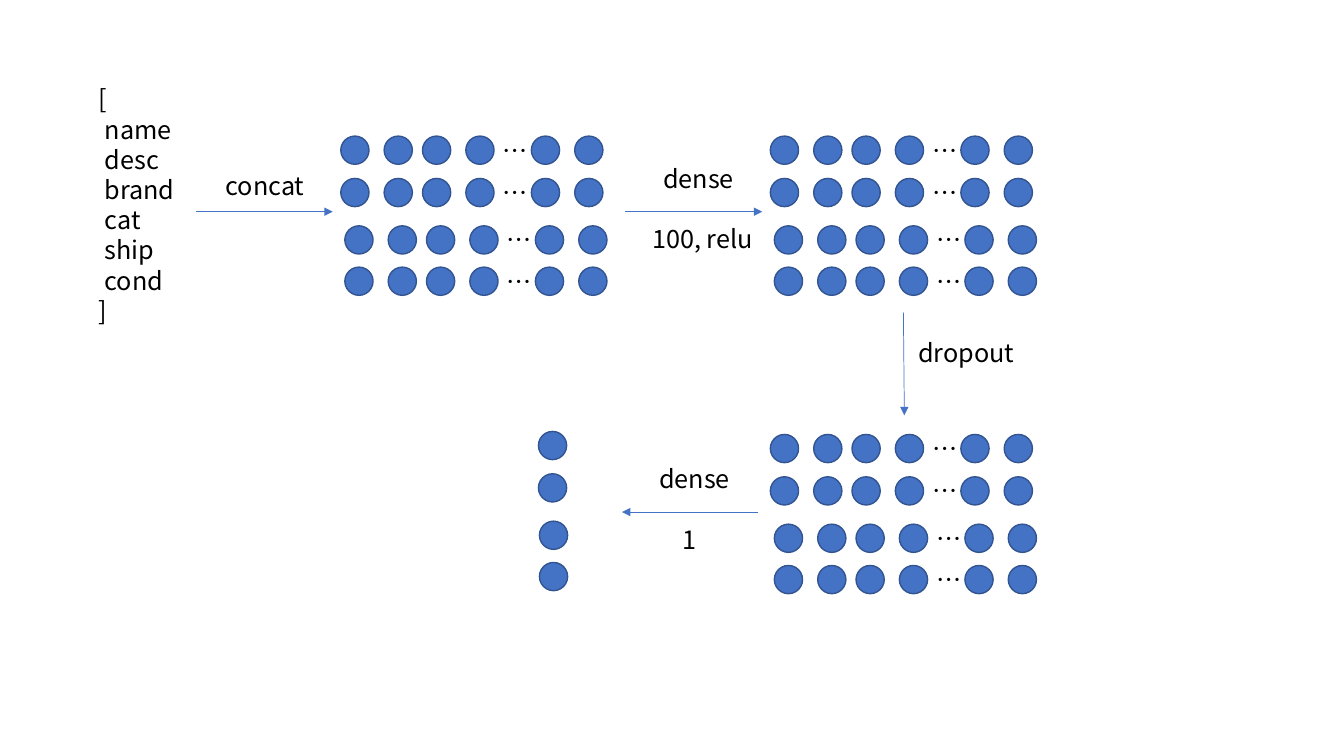
from dataclasses import dataclass

from lxml.etree import SubElement
from pptx import Presentation
from pptx.dml.color import RGBColor
from pptx.enum.shapes import MSO_CONNECTOR, MSO_SHAPE
from pptx.oxml.ns import qn
from pptx.slide import Slide
from pptx.util import Emu, Pt

PX = 9144  # 100 px to the inch
FONT = "Noto Sans CJK SC"
TEXT_SIZE = Pt(18)
LINE_HEIGHT = Pt(21.6)
COLOURS = {"text": "000000", "node": "4472C4", "outline": "325491"}

NODE_SIZE = 28
ROW_OFFSETS = (0, 42, 89, 130)
LAYER_COLUMNS = (0, 43, 81, 124, 189, 232)
DOTS_OFFSET = (151, -6)


@dataclass(frozen=True)
class TextLine:
    text: str
    indent: int = 0
    gap: bool = False  # leave one line free above


@dataclass(frozen=True)
class Label:
    left: int
    top: int
    width: int
    height: int
    lines: tuple[TextLine, ...]
    wrap: bool = True


@dataclass(frozen=True)
class Arrow:
    start: tuple[int, int]
    end: tuple[int, int]


@dataclass(frozen=True)
class Layer:
    left: int
    top: int
    columns: tuple[int, ...]
    lower_shift: int  # sideways shift of the two lower rows
    dots: bool = True


FEATURES = ("name", "desc", "brand", "cat", "ship", "cond")
LABELS = (
    Label(88, 78, 98, 252, (
        TextLine("["), *(TextLine(name, indent=6) for name in FEATURES), TextLine("]"))),
    Label(214, 164, 144, 40, (TextLine("concat"),)),
    Label(637, 157, 144, 101, (TextLine("dense", indent=11), TextLine("100, relu", gap=True))),
    Label(901, 330, 144, 40, (TextLine("dropout"),)),
    Label(633, 455, 144, 101, (TextLine("dense", indent=11), TextLine("1", indent=34, gap=True))),
)
ARROWS = (
    Arrow((194, 210), (330, 210)),
    Arrow((620, 210), (756, 210)),
    Arrow((896, 310), (897, 412)),
    Arrow((752, 508), (617, 508)),
)
LAYERS = (
    Layer(338, 135, LAYER_COLUMNS, 4),
    Layer(764, 135, LAYER_COLUMNS, 4),
    Layer(764, 431, LAYER_COLUMNS, 4),
    Layer(534, 428, (0,), 1, dots=False),
)


def px(length: int) -> Emu:
    return Emu(length * PX)


def colour(name: str) -> RGBColor:
    return RGBColor.from_string(COLOURS[name])


def draw_label(page: Slide, label: Label) -> None:
    box = page.shapes.add_textbox(
        px(label.left), px(label.top), px(label.width), px(label.height))
    frame = box.text_frame
    frame.word_wrap = label.wrap
    for index, line in enumerate(label.lines):
        para = frame.add_paragraph() if index else frame.paragraphs[0]
        para.text = line.text
        para.line_spacing = LINE_HEIGHT
        if line.gap:
            para.space_before = LINE_HEIGHT
        para.font.name = FONT
        para.font.size = TEXT_SIZE
        para.font.color.rgb = colour("text")
        if line.indent:
            properties = para._p.get_or_add_pPr()
            properties.set("marL", str(px(line.indent)))
            properties.set("indent", "0")


def draw_arrow(page: Slide, arrow: Arrow) -> None:
    connector = page.shapes.add_connector(
        MSO_CONNECTOR.STRAIGHT, *map(px, arrow.start + arrow.end))
    connector.line.color.rgb = colour("node")
    connector.line.width = Pt(0.5)
    SubElement(connector.line._get_or_add_ln(), qn("a:tailEnd"), type="triangle")
    SubElement(connector._element.spPr, qn("a:effectLst"))


def draw_node(page: Slide, left: int, top: int) -> None:
    node = page.shapes.add_shape(
        MSO_SHAPE.OVAL, px(left), px(top), px(NODE_SIZE), px(NODE_SIZE))
    node.shadow.inherit = False
    node.fill.solid()
    node.fill.fore_color.rgb = colour("node")
    node.line.color.rgb = colour("outline")
    node.line.width = Pt(1)


def draw_layer(page: Slide, layer: Layer) -> None:
    for row, offset in enumerate(ROW_OFFSETS):
        left = layer.left + (layer.lower_shift if row >= 2 else 0)
        top = layer.top + offset
        for column in layer.columns:
            draw_node(page, left + column, top)
        if layer.dots:
            across, down = DOTS_OFFSET
            draw_label(page, Label(
                left + across, top + down, 38, 40, (TextLine("…"),), wrap=False))


def main() -> None:
    deck = Presentation()
    deck.slide_width, deck.slide_height = px(1333), px(750)
    page = deck.slides.add_slide(deck.slide_layouts[6])

    # Network layers
    for layer in LAYERS:
        draw_layer(page, layer)

    # Steps between the layers
    for arrow in ARROWS:
        draw_arrow(page, arrow)
    for label in LABELS:
        draw_label(page, label)

    deck.save("out.pptx")


if __name__ == "__main__":
    main()
